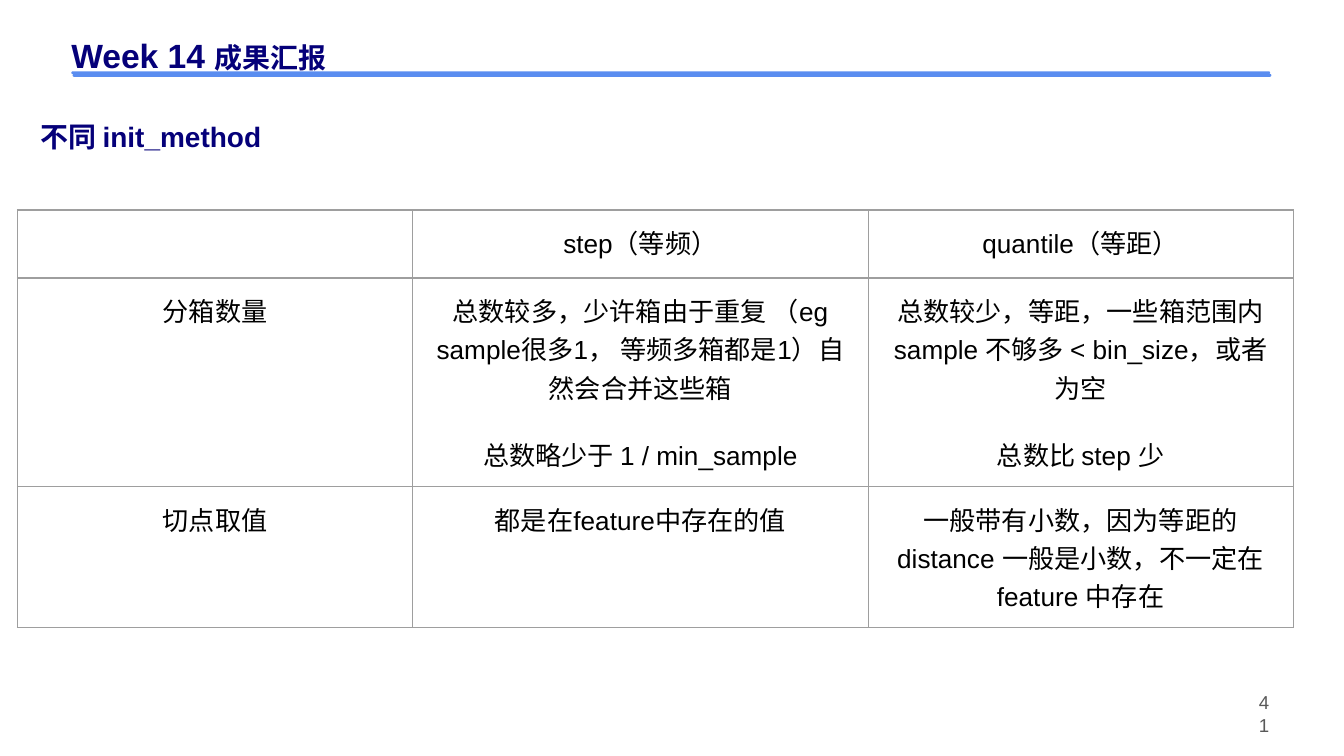
from lxml.etree import SubElement
from pptx import Presentation
from pptx.dml.color import RGBColor
from pptx.enum.shapes import MSO_SHAPE as Shape
from pptx.enum.text import MSO_ANCHOR as Anchor, MSO_AUTO_SIZE as AutoSize, PP_ALIGN as Align
from pptx.oxml.ns import qn
from pptx.util import Pt

COLORS = {"navy": "050079", "blue": "5A8DF0", "gray": "595959",
          "border": "9E9E9E", "black": "000000"}
TITLE = [("Week 14 ", 18), ("成果汇报", 15)]
SUBTITLE = [("不同 init_method", 15)]
PAGE_NUMBER = [("41", 10)]
ROWS = [
    [[], ["step（等频）"], ["quantile（等距）"]],
    [["分箱数量"],
     ["总数较多，少许箱由于重复 （eg sample很多1， 等频多箱都是1）自然会合并这些箱",
      "总数略少于 1 / min_sample"],
     ["总数较少，等距，一些箱范围内sample 不够多 < bin_size，或者为空",
      "总数比 step 少"]],
    [["切点取值"],
     ["都是在feature中存在的值"],
     ["一般带有小数，因为等距的distance 一般是小数，不一定在feature 中存在"]],
]
COLUMN_WIDTHS = [211.7, 244, 227.7]
ROW_HEIGHTS = [34.8, 111.8, 75.5]
RULES = [(38.9, 39.6), (38.2, 38.2)]
MARGINS = ("margin_left", "margin_top", "margin_right", "margin_bottom")


def color(name):
    """Return the named colour."""
    return RGBColor.from_string(COLORS[name])


def apply(target, values):
    """Set each attribute in a dict of format values."""
    for name, value in values.items():
        setattr(target, name, value)


def style_font(font, size, color_name, bold=False):
    """Format a font."""
    apply(font, {"name": "Arial", "size": Pt(size), "bold": bold})
    font.color.rgb = color(color_name)


def write_text(shape, box, runs, color_name, bold=False, anchor=Anchor.TOP, spacing=1.0):
    """Place a text shape and fill it with one left-aligned paragraph."""
    apply(shape, dict(zip(("left", "top", "width", "height"), map(Pt, box))))
    frame = shape.text_frame
    apply(frame, dict.fromkeys(MARGINS, 0))
    apply(frame, {"word_wrap": True, "auto_size": AutoSize.NONE, "vertical_anchor": anchor})
    paragraph = frame.paragraphs[0]
    apply(paragraph, {"alignment": Align.LEFT, "line_spacing": spacing})
    for text, size in runs:
        run = paragraph.add_run()
        run.text = text
        style_font(run.font, size, color_name, bold)


def add_rule(slide, left, top):
    """Add a thin rounded bar below the title."""
    rule = slide.shapes.add_shape(Shape.ROUNDED_RECTANGLE, Pt(left), Pt(top), Pt(642.2), Pt(1.6))
    rule.adjustments[0] = 0.5
    rule.shadow.inherit = False
    rule.fill.solid()
    rule.fill.fore_color.rgb = color("blue")
    rule.line.fill.background()


def fill_cell(cell, texts):
    """Write centred paragraphs in a cell and draw its borders."""
    apply(cell, dict.fromkeys(MARGINS, Pt(7.2)))
    frame = cell.text_frame
    for index, text in enumerate(texts):
        paragraph = frame.add_paragraph() if index else frame.paragraphs[0]
        paragraph.alignment = Align.CENTER
        if index:
            paragraph.space_before = Pt(15.5)
        run = paragraph.add_run()
        run.text = text
        style_font(run.font, 14, "black")
    cell.fill.background()
    properties = cell._tc.get_or_add_tcPr()
    for index, side in enumerate(("lnL", "lnR", "lnT", "lnB")):
        line = SubElement(properties, qn(f"a:{side}"), w=str(Pt(0.75)))
        fill = SubElement(line, qn("a:solidFill"))
        SubElement(fill, qn("a:srgbClr"), val=COLORS["border"])
        properties.insert(index, line)


def add_comparison(slide):
    """Add the table comparing the two methods."""
    table = slide.shapes.add_table(
        len(ROWS), len(COLUMN_WIDTHS), Pt(9.4), Pt(112.5),
        Pt(sum(COLUMN_WIDTHS)), Pt(sum(ROW_HEIGHTS))).table
    apply(table, {"first_row": False, "horz_banding": False})
    for column, width in zip(table.columns, COLUMN_WIDTHS):
        column.width = Pt(width)
    for row, height, contents in zip(table.rows, ROW_HEIGHTS, ROWS):
        row.height = Pt(height)
        for cell, texts in zip(row.cells, contents):
            fill_cell(cell, texts)


def main():
    """Build and save the slide."""
    presentation = Presentation()
    apply(presentation, {"slide_width": Pt(720), "slide_height": Pt(405)})
    slide = presentation.slides.add_slide(presentation.slide_layouts[5])
    write_text(slide.shapes.title, (38.2, 18.9, 663, 21.6), TITLE, "navy", bold=True)
    subtitle = slide.shapes.add_textbox(0, 0, 0, 0)
    write_text(subtitle, (21.6, 61.2, 653, 33.8), SUBTITLE, "navy", bold=True, spacing=1.15)
    for left, top in RULES:
        add_rule(slide, left, top)
    number = slide.shapes.add_textbox(0, 0, 0, 0)
    write_text(number, (674.4, 377.3, 7.2, 10.1), PAGE_NUMBER, "gray", anchor=Anchor.MIDDLE)
    add_comparison(slide)
    presentation.save("out.pptx")


if __name__ == "__main__":
    main()
